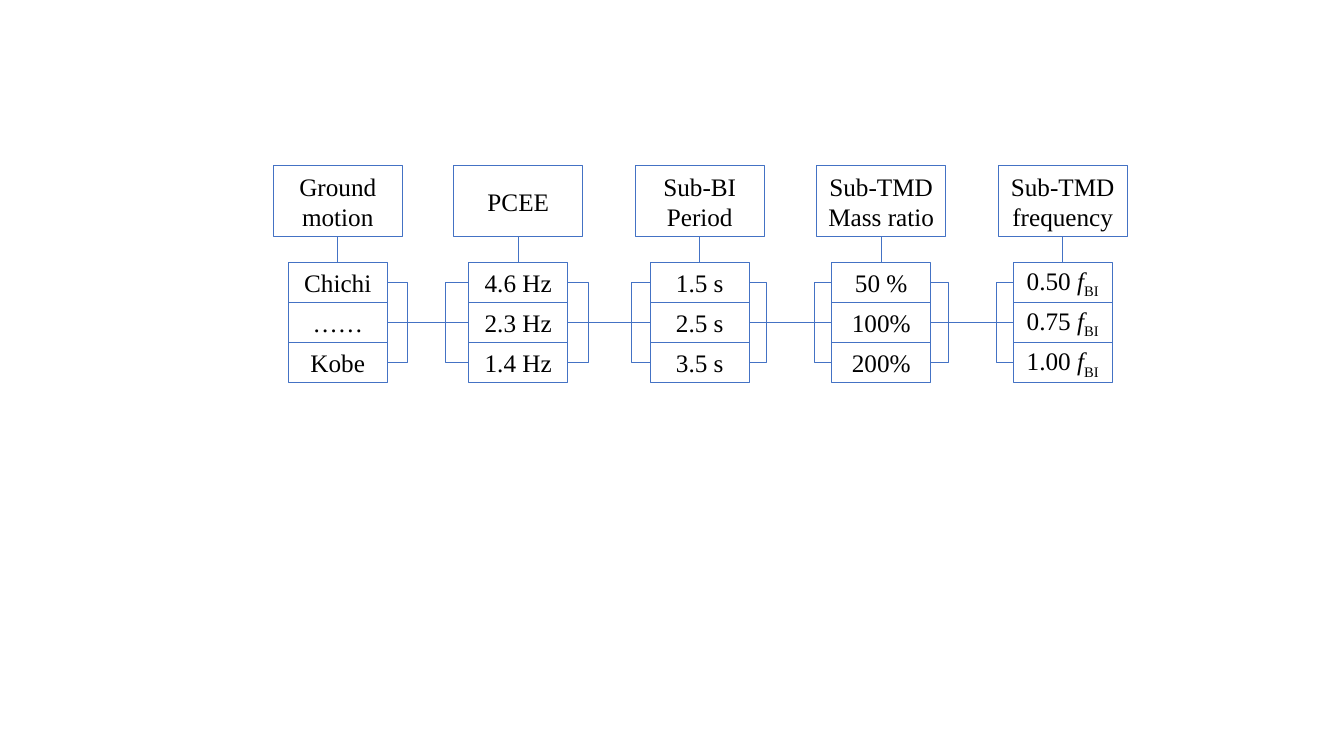
from dataclasses import dataclass

from lxml.etree import SubElement
from pptx import Presentation
from pptx.dml.color import RGBColor
from pptx.enum.shapes import MSO_CONNECTOR as Cxn, MSO_SHAPE as Shape
from pptx.enum.text import MSO_ANCHOR as Anchor, PP_ALIGN as Align
from pptx.oxml.ns import qn
from pptx.util import Emu, Pt

PX = 9144  # EMU per px, 100 px to the inch
TOP, LEFT, BOTTOM, RIGHT = range(4)  # connection sites of a rectangle


@dataclass(frozen=True)
class Theme:
    font: str = "Times New Roman"
    size: float = 18
    text: RGBColor = RGBColor(0, 0, 0)
    line: RGBColor = RGBColor(0x44, 0x72, 0xC4)
    box_line: float = 0.75
    link_line: float = 0.5


THEME = Theme()

# Layout in px
HEAD_TOP, HEAD_W, HEAD_H = 164, 128, 71
CELL_TOP, CELL_W, CELL_H = 260, 98, 40
CELL_INSET = (HEAD_W - CELL_W) // 2

# Left edge, heading paragraphs, values
COLUMNS = [
    (271, ["Ground motion"], ["Chichi", "……", "Kobe"]),
    (450, ["PCEE"], ["4.6 Hz", "2.3 Hz", "1.4 Hz"]),
    (630, ["Sub-BI", "Period"], ["1.5 s", "2.5 s", "3.5 s"]),
    (810, ["Sub-TMD", "Mass ratio"], ["50 %", "100%", "200%"]),
    (990, ["Sub-TMD", "frequency"], ["0.50 ", "0.75 ", "1.00 "]),
]
# Distance of the two bends from the cells left and right of each gap
BENDS = [(20, 23), (21, 19), (17, 17), (18, 17)]


def px(n):
    return Emu(n * PX)


def add_run(p, text, italic=False, subscript=False):
    r = p.add_run()
    r.text = text
    f = r.font
    f.name, f.size, f.italic = THEME.font, Pt(THEME.size), italic
    f.color.rgb = THEME.text
    if subscript:
        r._r.get_or_add_rPr().set("baseline", "-25000")


def add_box(s, x, y, w, h, paragraphs):
    """Outlined rectangle; each paragraph is a list of run arguments."""
    sp = s.shapes.add_shape(Shape.RECTANGLE, px(x), px(y), px(w), px(h))
    sp.shadow.inherit = False
    sp.fill.background()
    sp.line.color.rgb = THEME.line
    sp.line.width = Pt(THEME.box_line)
    tf = sp.text_frame
    tf.word_wrap = True
    tf.vertical_anchor = Anchor.MIDDLE
    for i, runs in enumerate(paragraphs):
        p = tf.add_paragraph() if i else tf.paragraphs[0]
        p.alignment = Align.CENTER
        for run in runs:
            add_run(p, *run)
    return sp


def add_link(s, kind, start, start_site, end, end_site):
    c = s.shapes.add_connector(kind, 0, 0, 0, 0)
    c.begin_connect(start, start_site)
    c.end_connect(end, end_site)
    c.line.color.rgb = THEME.line
    c.line.width = Pt(THEME.link_line)
    SubElement(c._element.spPr, qn("a:effectLst"))
    return c


def add_elbow(s, start, end, bend):
    """Elbow link between two cells, bending at a fraction of its width."""
    c = add_link(s, Cxn.ELBOW, start, RIGHT, end, LEFT)
    av = c._element.spPr.find(qn("a:prstGeom")).get_or_add_avLst()
    SubElement(av, qn("a:gd"), name="adj1", fmla=f"val {round(bend * 100000)}")


def add_column(s, x, heading, values, is_frequency):
    head = add_box(s, x, HEAD_TOP, HEAD_W, HEAD_H, [[(t,)] for t in heading])
    unit = [("f", True), ("BI", False, True)] if is_frequency else []
    cells = [
        add_box(s, x + CELL_INSET, CELL_TOP + i * CELL_H, CELL_W, CELL_H,
                [[(value,), *unit]])
        for i, value in enumerate(values)
    ]
    add_link(s, Cxn.STRAIGHT, head, BOTTOM, cells[0], TOP)
    return cells


def join_columns(s, left, right, bends):
    """Gather the left cells on the middle line, then spread to the right."""
    gap = (right[0].left - left[0].left - left[0].width) / PX
    gather, spread = bends[0] / gap, 1 - bends[1] / gap
    for outer in (0, 2):
        add_elbow(s, left[outer], right[1], gather)
        add_elbow(s, left[1], right[outer], spread)


def main():
    prs = Presentation()
    prs.slide_width, prs.slide_height = px(1333), px(750)
    s = prs.slides.add_slide(prs.slide_layouts[6])

    # Parameter columns
    last = len(COLUMNS) - 1
    columns = [add_column(s, *col, i == last) for i, col in enumerate(COLUMNS)]

    # Brackets between neighbouring columns
    for left, right, bends in zip(columns, columns[1:], BENDS):
        join_columns(s, left, right, bends)

    prs.save("out.pptx")


if __name__ == "__main__":
    main()
